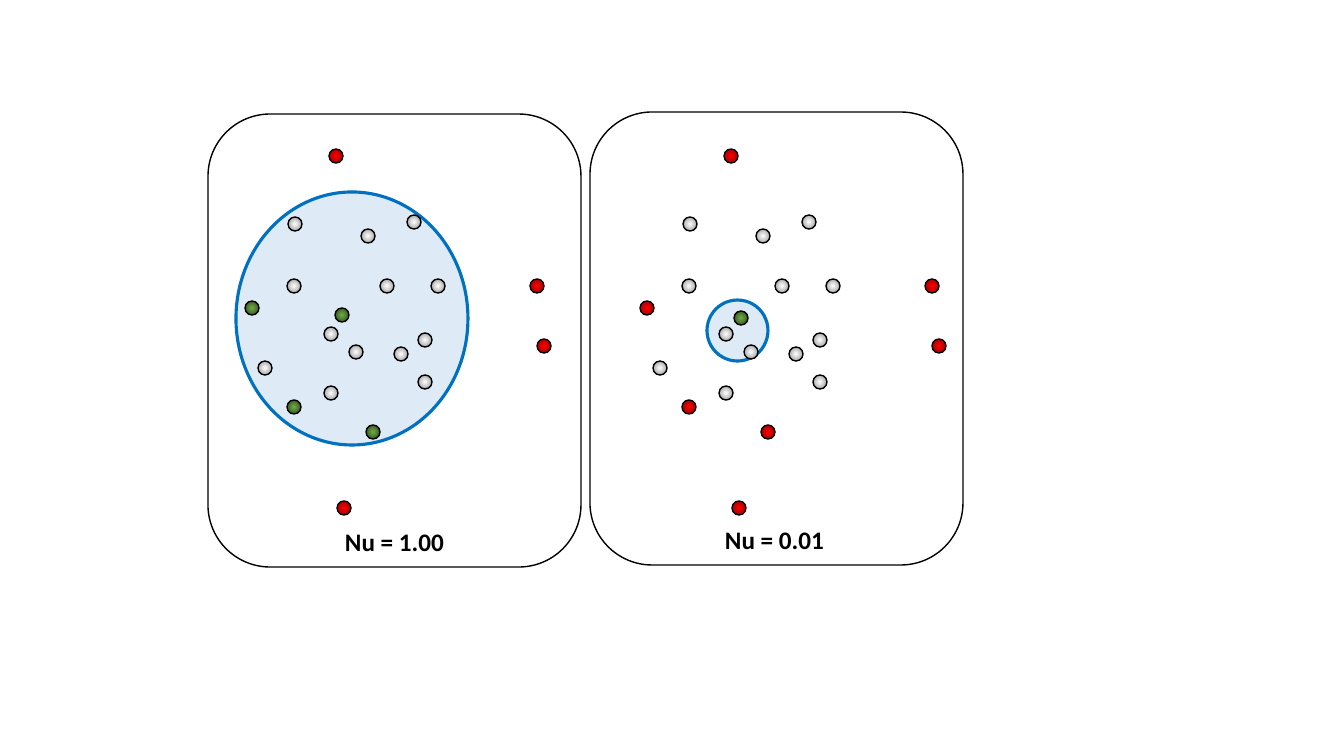
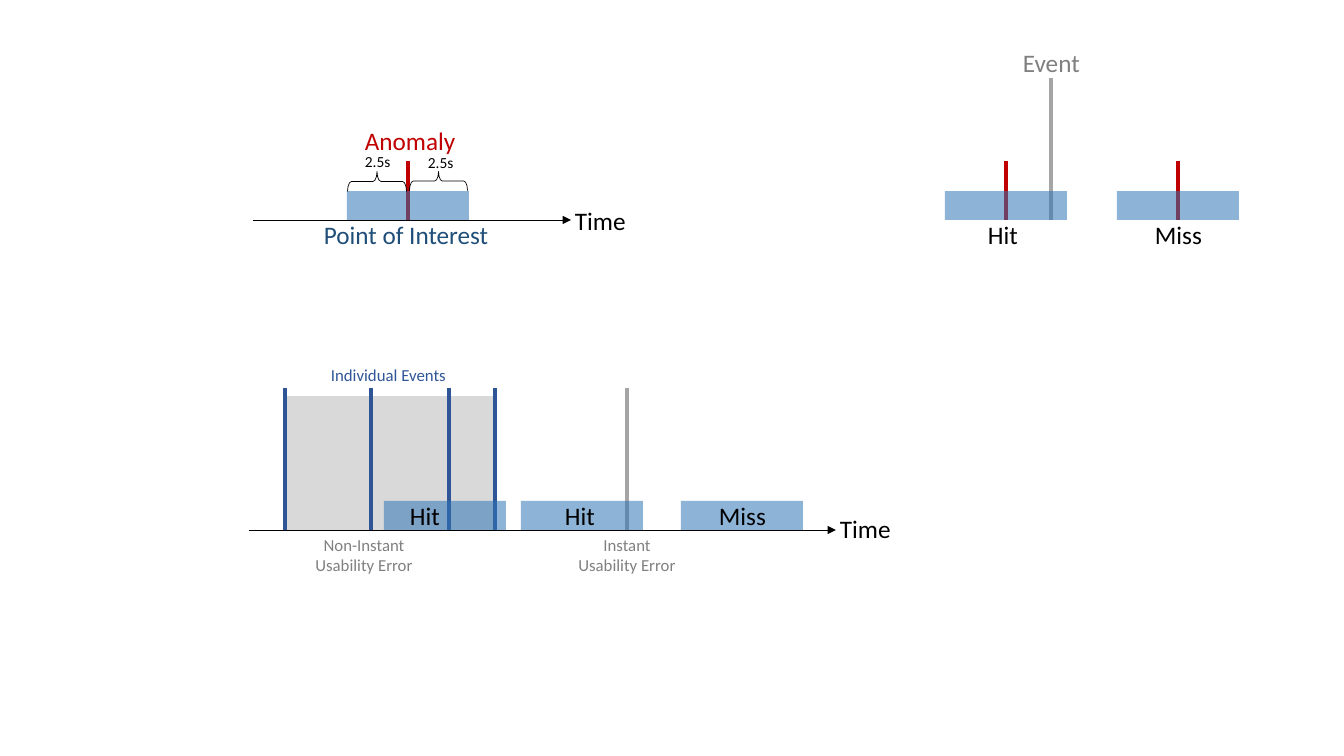
from lxml import etree
from pptx import Presentation
from pptx import util as u
from pptx.dml.color import RGBColor
from pptx.enum import shapes, text
from pptx.oxml.ns import qn

PX = 914400 / 100.8  # EMU in one px
FONT = "Calibri"
HEX = {
    "black": "000000", "gray": "808080", "silver": "A5A5A5", "pale": "D9D9D9",
    "red": "C00000", "blue": "2E75B6", "navy": "1F4E79", "royal": "2F5597",
    "ring": "0070C0", "sky": "DEEBF7",
}
RGB = {name: RGBColor.from_string(code) for name, code in HEX.items()}
KIND = shapes.MSO_SHAPE


def draw(on, kind, area, fill=None, edge=None, width=1, alpha=None):
    """Add a preset shape; area is left, top, width, height in px."""
    shape = on.add_shape(kind, *[round(v * PX) for v in area])
    shape.shadow.inherit = False
    if fill:
        shape.fill.solid()
        shape.fill.fore_color.rgb = RGB[fill]
    else:
        shape.fill.background()
    if alpha:
        tint = shape.element.spPr.find(qn("a:solidFill"))[0]
        etree.SubElement(tint, qn("a:alpha"), val=str(alpha * 1000))
    if edge:
        shape.line.color.rgb = RGB[edge]
        shape.line.width = u.Pt(width)
    else:
        shape.line.fill.background()
    return shape


def rule(on, ends, color, width=2.25, arrow=False):
    """Add a straight line; ends is x1, y1, x2, y2 in px."""
    line = on.add_connector(shapes.MSO_CONNECTOR.STRAIGHT,
                            *[round(v * PX) for v in ends])
    line.line.color.rgb = RGB[color]
    line.line.width = u.Pt(width)
    props = line.element.spPr
    if arrow:
        etree.SubElement(props.find(qn("a:ln")), qn("a:tailEnd"), type="triangle")
    etree.SubElement(props, qn("a:effectLst"))
    return line


deck = Presentation()
deck.slide_width, deck.slide_height = round(1344 * PX), round(756 * PX)
blank = deck.slide_layouts[6]
nu = deck.slides.add_slide(blank).shapes
time = deck.slides.add_slide(blank).shapes

# Slide 1: two panels with the same points, the second shifted right
SHIFT, DOT = 395, 14
GRADS = {  # inner colour, outer colour, end of the gradient
    "plain": ("FFFFFF", "A6A6A6", 0.76),
    "out": ("FF0000", "C00000", 0.52),
    "in": ("70AD47", "385723", 0.77),
}
plain = [(394, 347), (349, 345), (418, 375), (418, 333), (324, 327),
         (324, 386), (380, 279), (288, 217), (287, 279), (407, 215),
         (361, 229), (431, 279), (258, 361)]
far = [(537, 339), (530, 279), (329, 149), (337, 501)]
rim = [(245, 301), (366, 425), (287, 400)]  # inside only the large circle
panels = [  # panel corner, circle, shift, kind of rim points, core point
    ((208, 114), (236, 192, 232, 253), 0, "in", (335, 308)),
    ((590, 112), (707, 300, 61, 61), SHIFT, "out", (339, 311)),
]
for corner, circle, shift, edge, core in panels:
    draw(nu, KIND.ROUNDED_RECTANGLE, (*corner, 373, 453), edge="black")
    draw(nu, KIND.OVAL, circle, "sky", "ring", 2.25)
    for kind, spots in (("plain", plain), ("out", far), (edge, rim), ("in", [core])):
        inner, outer, end = GRADS[kind]
        for x, y in spots:
            dot = draw(nu, KIND.OVAL, (x + shift, y, DOT, DOT), edge="black")
            dot.fill.gradient()
            for stop, tone, place in zip(dot.fill.gradient_stops, (inner, outer), (0, end)):
                stop.color.rgb = RGBColor.from_string(tone)
                stop.position = place
            # Turn the linear gradient into a radial one
            grad = dot.element.spPr.find(qn("a:gradFill"))
            grad.remove(grad.find(qn("a:lin")))
            ray = etree.SubElement(grad, qn("a:path"), {"path": "circle"})
            etree.SubElement(ray, qn("a:fillToRect"), {side: "50000" for side in "ltrb"})

# Slide 2, top: windows around an anomaly
BASE, BAR_W, BAR_H = 220, 122, 29
rule(time, (253, BASE, 571, BASE), "black", 0.5, arrow=True)
rule(time, (1051, 78, 1051, BASE), "silver")
for x in (347, 945, 1117):
    mid = x + BAR_W // 2
    mark = rule(time, (mid, 161, mid, BASE), "red")
    bar = draw(time, KIND.RECTANGLE, (x, BASE - BAR_H, BAR_W, BAR_H), "blue", alpha=54)
    mark.end_connect(bar, 2)
for area in ((367, 152, 20, 59), (429, 152, 19, 58)):
    brace = draw(time, KIND.LEFT_BRACE, area, edge="black", width=0.5)
    brace.adjustments[0] = 0.2
    brace.rotation = 90

# Slide 2, bottom: hits and misses along the time axis
FLOOR, TOP = 530, 388
track = time.add_group_shape().shapes
rule(track, (249, FLOOR, 836, FLOOR), "black", 0.5, arrow=True)
draw(track, KIND.RECTANGLE, (285, 396, 209, FLOOR - 396), "pale")
for x in (285, 371, 449, 495):
    rule(track, (x, TOP, x, FLOOR), "royal")
rule(track, (627, TOP, 627, FLOOR), "silver")
for x in (384, 521, 681):
    draw(track, KIND.RECTANGLE, (x, FLOOR - BAR_H, BAR_W, BAR_H), "blue", alpha=54)

# Labels: place, wording, area, size, colour, centred
labels = [
    (nu, "Nu = 1.00", (208, 521, 373, 40), 18, "black", True),
    (nu, "Nu = 0.01", (588, 519, 373, 40), 18, "black", True),
    (time, "Anomaly", (355, 120, 112, 40), 18, "red", False),
    (time, "Point of Interest", (314, 214, 186, 40), 18, "navy", False),
    (time, "2.5s", (355, 147, 46, 29), 11, "black", False),
    (time, "2.5s", (418, 148, 46, 29), 11, "black", False),
    (time, "Time", (565, 200, 72, 40), 18, "black", False),
    (time, "Event", (1013, 42, 78, 40), 18, "gray", False),
    (time, "Hit", (978, 214, 50, 40), 18, "black", False),
    (time, "Miss", (1145, 214, 68, 40), 18, "black", False),
    (track, "Time", (830, 508, 72, 40), 18, "black", False),
    (track, "Hit", (400, 495, 50, 40), 18, "black", False),
    (track, "Hit", (555, 495, 50, 40), 18, "black", False),
    (track, "Miss", (709, 495, 68, 40), 18, "black", False),
    (track, "Non-Instant\nUsability Error", (305, 530, 118, 50), 12, "gray", True),
    (track, "Instant\nUsability Error", (568, 530, 118, 50), 12, "gray", True),
    (track, "Individual Events", (321, 360, 145, 30), 12, "royal", False),
]
for on, words, area, size, color, center in labels:
    frame = on.add_textbox(*[round(v * PX) for v in area]).text_frame
    frame.word_wrap = on is nu
    frame.auto_size = text.MSO_AUTO_SIZE.SHAPE_TO_FIT_TEXT
    frame.text = words
    for para in frame.paragraphs:
        para.alignment = text.PP_ALIGN.CENTER if center else text.PP_ALIGN.LEFT
        para.font.name, para.font.size = FONT, u.Pt(size)
        para.font.color.rgb = RGB[color]
        para.font.bold = on is nu

deck.save("out.pptx")
